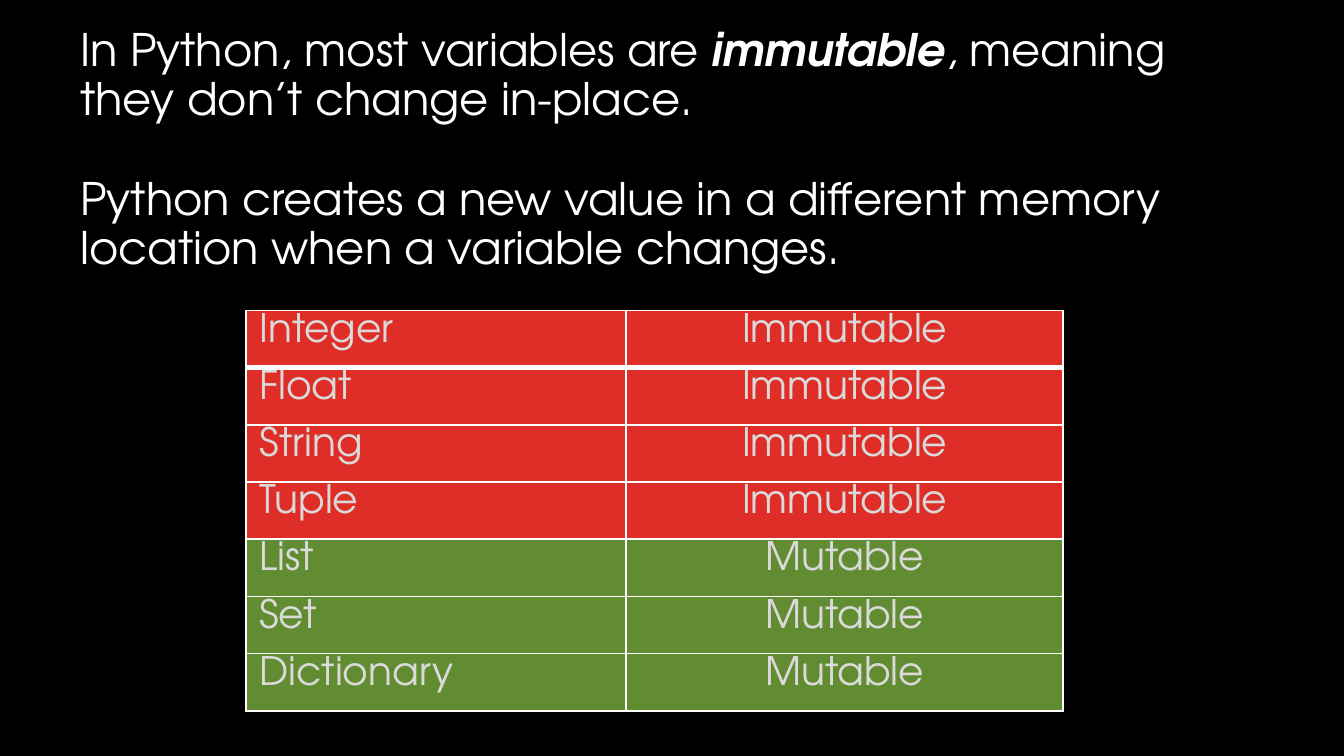
import pptx
import pptx.dml.color
import pptx.enum.text
import pptx.oxml
import pptx.oxml.ns
import pptx.util
from pptx.util import Inches

# Content: (text, emphasized) runs per paragraph, then the table rows
STATEMENTS = [
    [("In Python, most variables are ", False), ("immutable", True),
     (", meaning they don’t change in-place.", False)],
    [("Python creates a new value in a different memory location "
      "when a variable changes.", False)],
]
TYPES_BY_MUTABILITY = {
    "Immutable": ["Integer", "Float", "String", "Tuple"],
    "Mutable": ["List", "Set", "Dictionary"],
}
SLIDE_WIDTH = 10
COLUMN_WIDTHS = [2.83, 3.25]
TABLE_HEIGHT = 2.98

THEME = {
    "font": "TeX Gyre Adventor",
    "background": "000000",
    "statement": "FFFFFF",
    "cell": "DADADA",
    "border": "FFFFFF",
    "Immutable": "DF2E28",
    "Mutable": "618C32",
    "statement_size": 24,
    "cell_size": 21,
    "line_spacing": 0.9,
}


def color(name):
    return pptx.dml.color.RGBColor.from_string(THEME[name])


def style_paragraph(paragraph, kind):
    paragraph.line_spacing = THEME["line_spacing"]
    paragraph.font.name = THEME["font"]
    paragraph.font.size = pptx.util.Pt(THEME[kind + "_size"])
    paragraph.font.color.rgb = color(kind)


def set_borders(cell, top, bottom):
    """Draw the four cell edges; widths are in points."""
    properties = cell._tc.get_or_add_tcPr()
    widths = {"lnL": 1, "lnR": 1, "lnT": top, "lnB": bottom}
    for position, (edge, width) in enumerate(widths.items()):
        line = pptx.oxml.parse_xml(
            f'<a:{edge} {pptx.oxml.ns.nsdecls("a")} w="{pptx.util.Pt(width)}">'
            f'<a:solidFill><a:srgbClr val="{THEME["border"]}"/></a:solidFill>'
            f'</a:{edge}>')
        properties.insert(position, line)


def add_statements(slide):
    box = slide.shapes.add_textbox(Inches(0.5), Inches(0.16), Inches(9), Inches(2.25))
    frame = box.text_frame
    frame.word_wrap = True
    for index, runs in enumerate(STATEMENTS):
        paragraph = frame.add_paragraph() if index else frame.paragraphs[0]
        style_paragraph(paragraph, "statement")
        paragraph.space_after = pptx.util.Pt(28)
        for text, emphasized in runs:
            run = paragraph.add_run()
            run.text = text
            if emphasized:
                run.font.bold = run.font.italic = True


def add_type_table(slide):
    rows = [(name, mutability)
            for mutability, names in TYPES_BY_MUTABILITY.items() for name in names]
    table = slide.shapes.add_table(
        len(rows), len(COLUMN_WIDTHS), Inches(1.83), Inches(2.31),
        Inches(sum(COLUMN_WIDTHS)), Inches(TABLE_HEIGHT)).table
    for column, width in zip(table.columns, COLUMN_WIDTHS):
        column.width = Inches(width)
    table.first_row = table.horz_banding = False

    for row_index, row in enumerate(rows):
        for column_index, text in enumerate(row):
            cell = table.cell(row_index, column_index)
            cell.margin_top = cell.margin_bottom = Inches(0.04)
            cell.fill.solid()
            cell.fill.fore_color.rgb = color(row[1])
            # A thick rule separates the first row from the second
            set_borders(cell, top=3 if row_index == 1 else 1,
                        bottom=3 if row_index == 0 else 1)
            paragraph = cell.text_frame.paragraphs[0]
            paragraph.text = text
            style_paragraph(paragraph, "cell")
            if column_index == 1:
                paragraph.alignment = pptx.enum.text.PP_ALIGN.CENTER


def main():
    presentation = pptx.Presentation()
    presentation.slide_width = Inches(SLIDE_WIDTH)
    presentation.slide_height = Inches(SLIDE_WIDTH * 9 / 16)
    slide = presentation.slides.add_slide(presentation.slide_layouts[6])
    slide.background.fill.solid()
    slide.background.fill.fore_color.rgb = color("background")
    add_statements(slide)
    add_type_table(slide)
    presentation.save("out.pptx")


if __name__ == "__main__":
    main()
